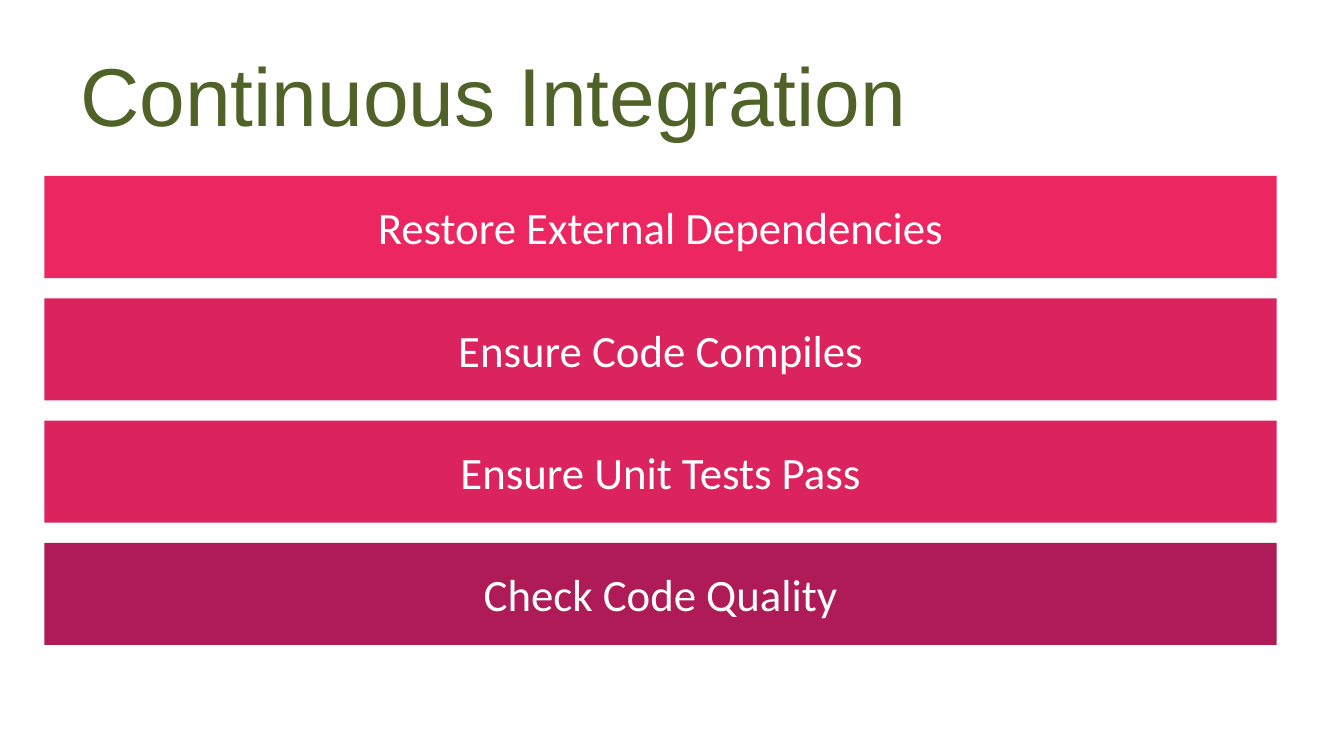
"""Build the Continuous Integration slide with its four stacked steps."""
from pptx import Presentation
from pptx.dml.color import RGBColor
from pptx.enum.shapes import MSO_SHAPE
from pptx.enum.text import MSO_ANCHOR, PP_ALIGN
from pptx.util import Inches, Pt

RECT = MSO_SHAPE.RECTANGLE
MIDDLE = MSO_ANCHOR.MIDDLE
LEFT, CENTER = PP_ALIGN.LEFT, PP_ALIGN.CENTER
GREEN = RGBColor(0x4F, 0x62, 0x28)
PINK = RGBColor(0xEC, 0x26, 0x60)
ROSE = RGBColor(0xDB, 0x23, 0x5E)
PLUM = RGBColor(0xAF, 0x1B, 0x57)
WHITE = RGBColor(0xFF, 0xFF, 0xFF)


def write(shape, text, font, size, color, align):
    frame = shape.text_frame
    frame.word_wrap = True
    frame.vertical_anchor = MIDDLE
    para = frame.paragraphs[0]
    para.alignment = align
    run = para.add_run()
    run.text = text
    run.font.name = font
    run.font.size = Pt(size)
    run.font.color.rgb = color


deck = Presentation()
deck.slide_width = Inches(10)
deck.slide_height = Inches(10) * 9 // 16
slide = deck.slides.add_slide(deck.slide_layouts[6])

title = slide.shapes.add_textbox(Inches(0.5), Inches(0.23), Inches(9), Inches(0.94))
write(title, "Continuous Integration", "Arial", 44, GREEN, LEFT)

steps = [
    ("Restore External Dependencies", PINK),
    ("Ensure Code Compiles", ROSE),
    ("Ensure Unit Tests Pass", ROSE),
    ("Check Code Quality", PLUM),
]
top, pitch = 1.31, 0.91
for row, (label, color) in enumerate(steps):
    bar = slide.shapes.add_shape(
        RECT, Inches(0.33), Inches(top + row * pitch), Inches(9.17), Inches(0.76)
    )
    bar.shadow.inherit = False
    bar.fill.solid()
    bar.fill.fore_color.rgb = color
    bar.line.fill.background()
    write(bar, label, "Calibri", 24, WHITE, CENTER)

deck.save("out.pptx")
